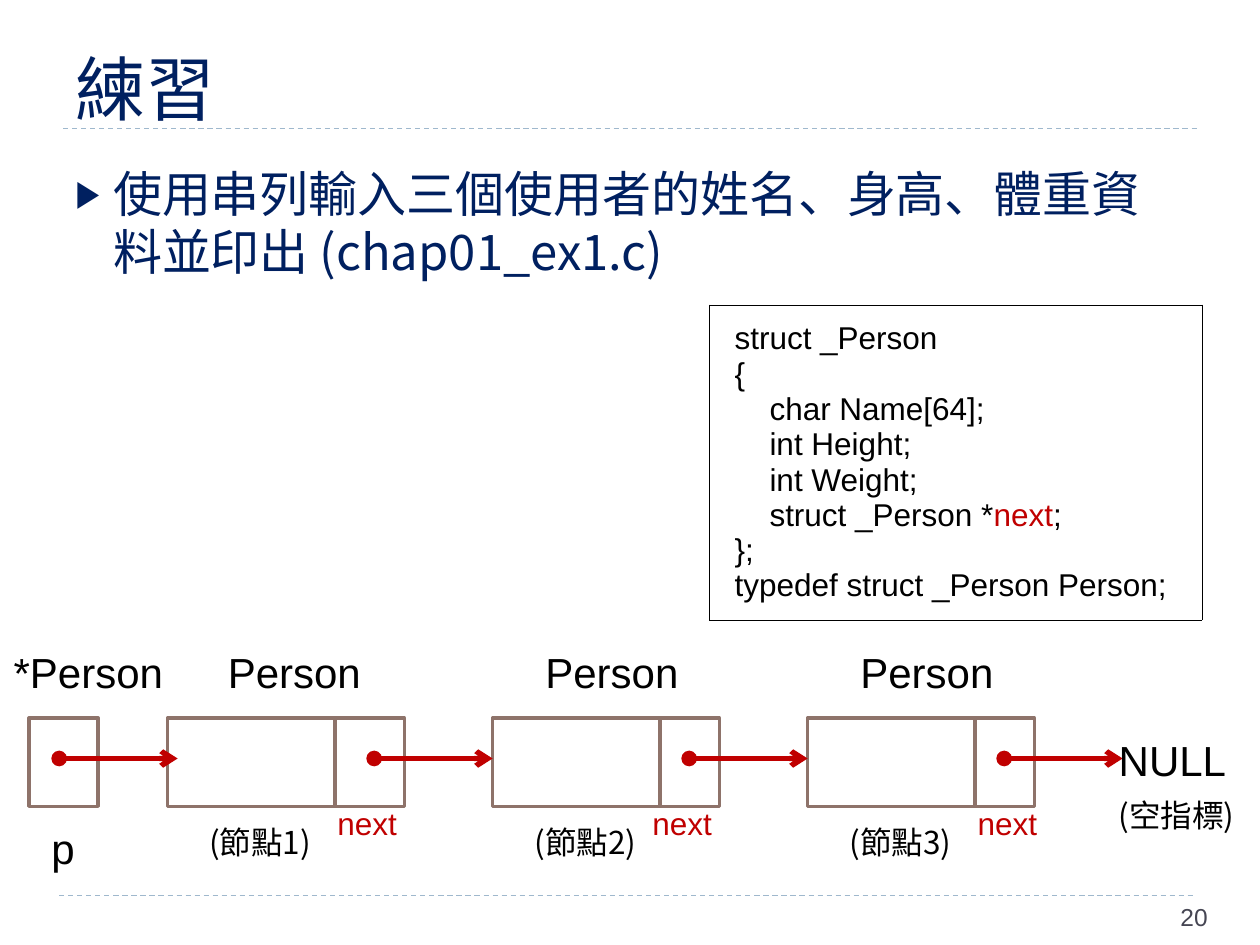
from lxml import etree
from pptx import Presentation
from pptx.dml.color import RGBColor
from pptx.enum.dml import MSO_LINE_DASH_STYLE as Dash
from pptx.enum.shapes import MSO_CONNECTOR as Conn, MSO_SHAPE as Shape
from pptx.enum.text import MSO_ANCHOR as Anchor, PP_ALIGN as Align
from pptx.oxml.ns import qn
from pptx.util import Inches, Pt

NAVY = RGBColor(0x00, 0x20, 0x60)
RED = RGBColor(0xC0, 0x00, 0x00)
BLACK = RGBColor(0x00, 0x00, 0x00)
WHITE = RGBColor(0xFF, 0xFF, 0xFF)
BROWN = RGBColor(0x8E, 0x73, 0x6A)
RULE = RGBColor(0x9F, 0xB8, 0xCD)
GREY = RGBColor(0x46, 0x46, 0x53)
LATIN, CJK = "Arial", "Noto Sans CJK SC"
CODE = """struct _Person
{
    char Name[64];
    int Height;
    int Weight;
    struct _Person *next;
};
typedef struct _Person Person;"""


def style(para, size, color=BLACK, face=LATIN):
    font = para.font
    font.size, font.name, font.color.rgb = Pt(size), face, color


def add_text(slide, box, text, size, color=BLACK, face=LATIN, wrap=False, align=Align.LEFT):
    frame = slide.shapes.add_textbox(*map(Inches, box)).text_frame
    frame.word_wrap = wrap
    para = frame.paragraphs[0]
    para.text, para.alignment = text, align
    style(para, size, color, face)
    return frame


def add_line(slide, left, right, y, color, width):
    line = slide.shapes.add_connector(
        Conn.STRAIGHT, Inches(left), Inches(y), Inches(right), Inches(y))
    line.line.color.rgb, line.line.width = color, Pt(width)
    etree.SubElement(line._element.spPr, qn("a:effectLst"))
    return line


def add_rule(slide, left, y):
    add_line(slide, left, left + 9, y, RULE, 0.75).line.dash_style = Dash.DASH


def add_arrow(slide, left, y):
    line = add_line(slide, left, left + 0.94, y, RED, 3).line
    ln = line._get_or_add_ln()
    etree.SubElement(ln, qn("a:headEnd"), type="oval")
    etree.SubElement(ln, qn("a:tailEnd"), type="arrow")


def add_cell(slide, left, top, width):
    rect = slide.shapes.add_shape(
        Shape.RECTANGLE, *map(Inches, (left, top, width, 0.7)))
    rect.shadow.inherit = False
    rect.fill.solid()
    rect.fill.fore_color.rgb = WHITE
    rect.line.color.rgb, rect.line.width = BROWN, Pt(2)


def add_title(slide, box, text):
    title = slide.shapes.title
    title.left, title.top, title.width, title.height = map(Inches, box)
    frame = title.text_frame
    frame.vertical_anchor = Anchor.BOTTOM
    para = frame.paragraphs[0]
    para.text, para.alignment = text, Align.LEFT
    style(para, 40, NAVY)


def add_body(slide, box, text):
    frame = add_text(slide, box, text, 28, NAVY, CJK, wrap=True)
    para = frame.paragraphs[0]
    props = para._p.get_or_add_pPr()
    props.set("marL", str(Inches(0.3)))
    props.set("indent", str(-Inches(0.3)))
    tint = etree.Element(qn("a:buClr"))
    etree.SubElement(tint, qn("a:srgbClr"), val=str(NAVY))
    size = etree.Element(qn("a:buSzPct"), val="76000")
    face = etree.Element(qn("a:buFont"), typeface=LATIN)
    mark = etree.Element(qn("a:buChar"), char="▶")
    for spot, part in enumerate((tint, size, face, mark)):
        props.insert(spot, part)
    para.line_spacing = Pt(33)


def add_code(slide, box):
    frame = slide.shapes.add_table(1, 1, *map(Inches, box))
    table = frame.table
    table.first_row = table.horz_banding = False
    cell = table.cell(0, 0)
    cell.vertical_anchor = Anchor.MIDDLE
    cell.margin_left, cell.margin_right = Inches(0.2), Inches(0.01)
    # Thin black border, which must come before the fill
    props = cell._tc.get_or_add_tcPr()
    for side in ("lnL", "lnR", "lnT", "lnB"):
        edge = etree.SubElement(props, qn("a:" + side), w=str(Pt(0.45)))
        fill = etree.SubElement(edge, qn("a:solidFill"))
        etree.SubElement(fill, qn("a:srgbClr"), val=str(BLACK))
    cell.fill.solid()
    cell.fill.fore_color.rgb = WHITE
    # One paragraph a line, with the link field in red
    text = cell.text_frame
    for row, line in enumerate(CODE.split("\n")):
        para = text.add_paragraph() if row else text.paragraphs[0]
        head, name, tail = line.partition("next")
        for part in filter(None, (head, name, tail)):
            run = para.add_run()
            run.text = part
            if part == "next":
                run.font.color.rgb = RED
        style(para, 18)


def add_node(slide, left, top, number, width, name, link):
    add_cell(slide, left, top, 1.33)
    add_cell(slide, left + 1.33, top, width)
    add_text(slide, (name, top - 0.62, 1.4, 0.5), "Person", 24, wrap=True)
    label = add_text(slide, (left + 0.18, top + 0.78, 1.11, 0.4), f"(節點{number})",
                     18, face=CJK, wrap=True, align=Align.CENTER)
    label.paragraphs[0].line_spacing = Pt(21.7)
    add_text(slide, (link - 0.05, top + 0.63, 0.77, 0.4), "next", 18, RED,
             wrap=True, align=Align.CENTER)


def add_list(slide, top):
    # Head pointer
    add_cell(slide, 0.23, top, 0.55)
    add_text(slide, (0.01, top - 0.62, 1.55, 0.5), "*Person", 24, wrap=True)
    add_text(slide, (0.31, top + 0.78, 0.45, 0.5), "p", 24, wrap=True)
    # Nodes: left edge, link cell width, left of type name, left of link name
    nodes = [(1.33, 0.55, 1.71, 2.58), (3.91, 0.47, 4.23, 5.08), (6.41, 0.47, 6.73, 7.66)]
    for number, (left, *rest) in enumerate(nodes, 1):
        add_node(slide, left, top, number, *rest)
    # Links
    for step in range(4):
        add_arrow(slide, 0.47 + 2.5 * step, top + 0.32)
    # End of the list
    end = add_text(slide, (8.78, top + 0.08, 1.31, 0.9), "NULL", 24)
    para = end.add_paragraph()
    para.text = "(空指標)"
    style(para, 18, face=CJK)
    para.line_spacing = Pt(28)


def main():
    deck = Presentation()
    deck.slide_width, deck.slide_height = Inches(10), Inches(7.5)
    slide = deck.slides.add_slide(deck.slide_layouts[5])
    add_rule(slide, 0.47, 7.11)
    add_rule(slide, 0.5, 1.02)
    add_title(slide, (0.5, 0.39, 9, 0.69), "練習")
    add_body(slide, (0.5, 1.26, 9, 2.33),
             "使用串列輸入三個使用者的姓名、身高、體重資料並印出 (chap01_ex1.c)")
    add_text(slide, (9.27, 7.11, 0.65, 0.4), "20", 14, GREY)
    add_list(slide, 5.7)
    add_code(slide, (5.63, 2.42, 3.91, 2.5))
    deck.save("out.pptx")


if __name__ == "__main__":
    main()
